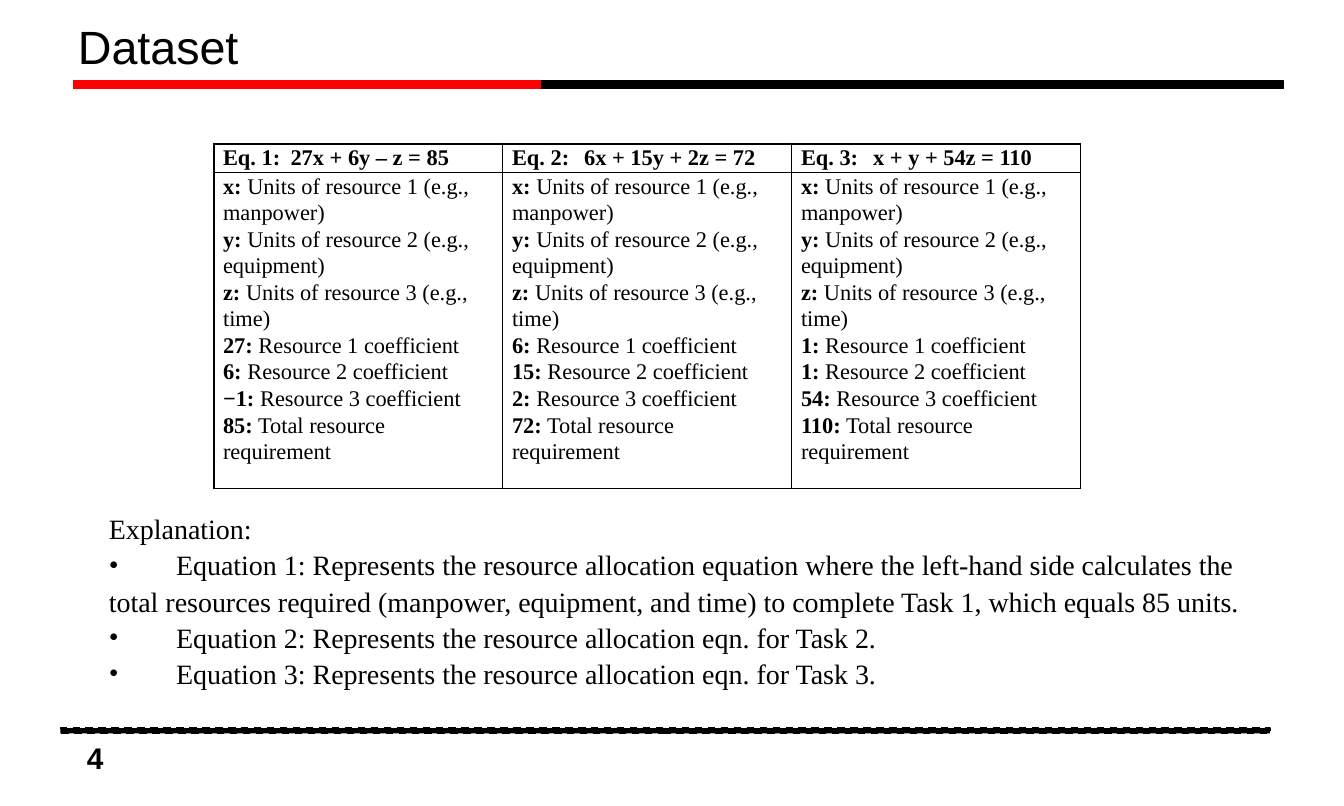
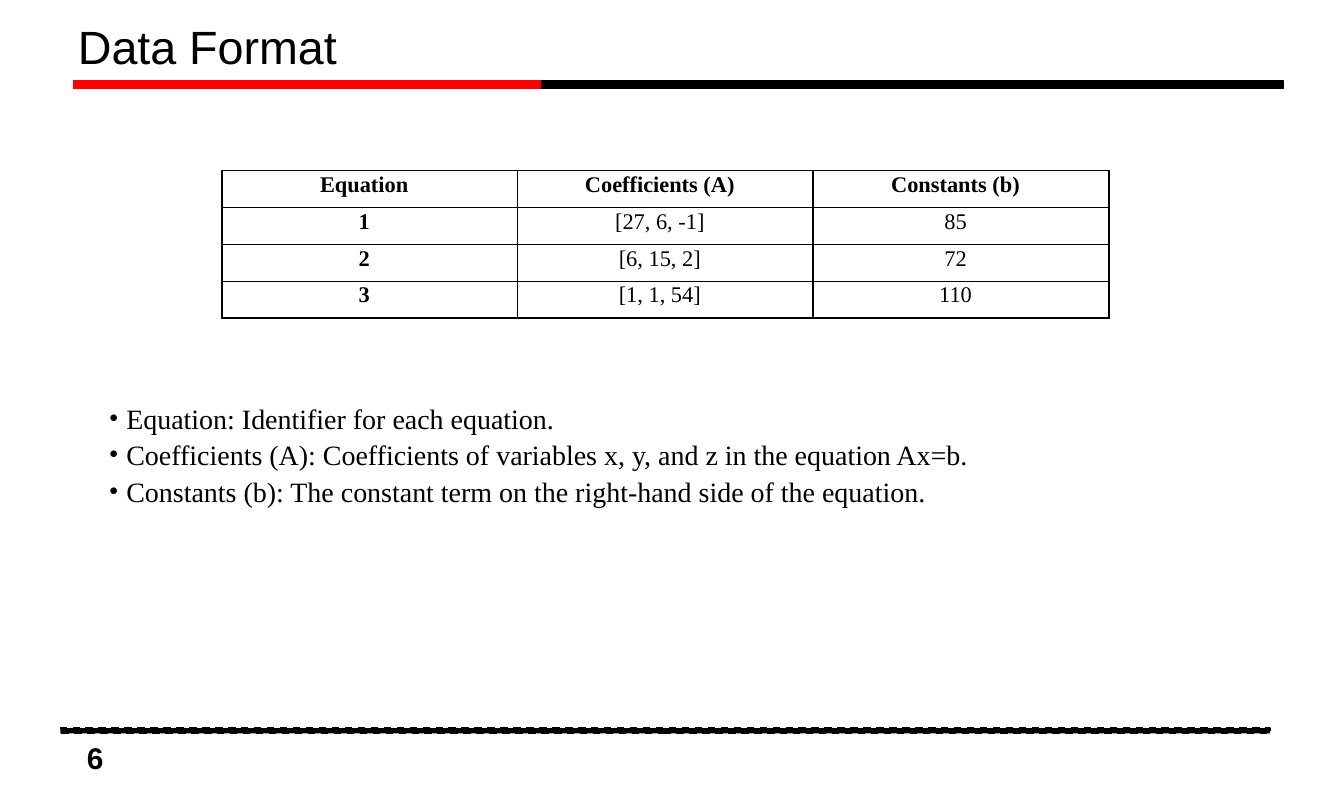
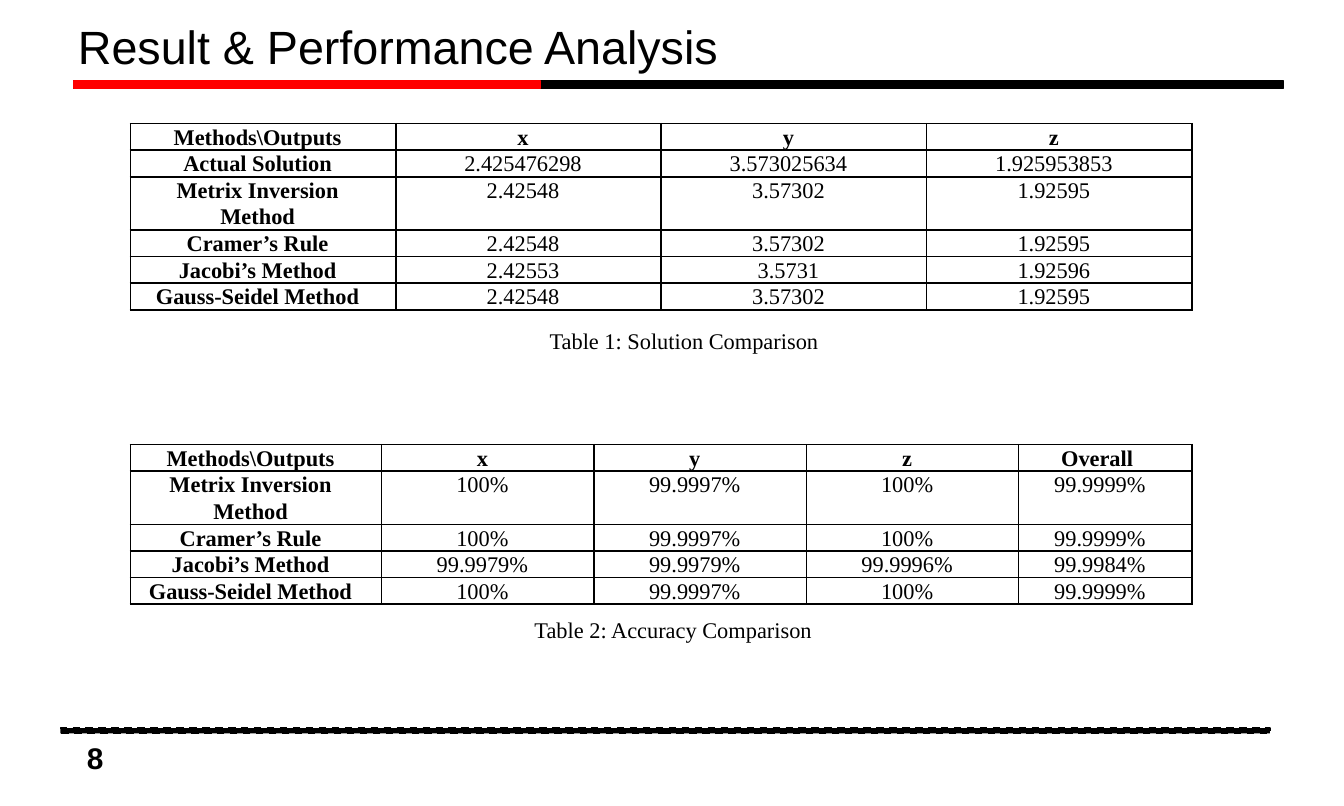
from dataclasses import dataclass
from typing import Any

from lxml import etree
from pptx import Presentation
from pptx.dml.color import RGBColor
from pptx.enum.dml import MSO_LINE
from pptx.enum.shapes import MSO_SHAPE
from pptx.enum.text import MSO_ANCHOR, MSO_AUTO_SIZE, PP_ALIGN
from pptx.oxml.ns import qn
from pptx.util import Emu, Inches, Pt

RECT, OVAL = MSO_SHAPE.RECTANGLE, MSO_SHAPE.OVAL
LEFT, MID, RIGHT = PP_ALIGN.LEFT, PP_ALIGN.CENTER, PP_ALIGN.RIGHT
CENTRE, TOP = MSO_ANCHOR.MIDDLE, MSO_ANCHOR.TOP
GROW, FIXED = MSO_AUTO_SIZE.SHAPE_TO_FIT_TEXT, MSO_AUTO_SIZE.NONE
DASH = MSO_LINE.DASH

WIDE, HIGH = 10, 6
BLACK, RED = "000000", "FF0000"
SANS, SERIF, SPACE = "Arial", "Times New Roman", "Calibri"
LIST, BARE = 1, 5  # layouts: title with body, title only
TIGHT = 0.19  # row height that grows to fit its text

HEAD = {"name": SANS, "size": Pt(25), "bold": False}
PAGE = {"name": SANS, "size": Pt(16), "bold": True}
BODY = {"name": SERIF, "size": Pt(15), "bold": False}
CELL = {"name": SERIF, "size": Pt(12), "bold": False}
BOLD = CELL | {"bold": True}
GAP = BOLD | {"name": SPACE, "size": Pt(11)}

Box = tuple[float, float, float, float]
Run = tuple[str, dict[str, Any]]
Para = list[Run]
Cell = list[Para]


@dataclass
class Bar:
    box: Box
    tint: str
    dash: bool = False


@dataclass
class Grid:
    left: float
    top: float
    cols: list[float]
    rows: list[list[Cell]]
    high: float = TIGHT
    align: Any = MID
    ruled: bool = True
    pad: float = 0.07


@dataclass
class Item:
    text: str
    mark: bool = True
    hang: float = 0


@dataclass
class Page:
    num: str
    title: str
    grids: list[Grid]
    items: list[Item]
    top: float = 0
    high: float = 0


BARS = [
    Bar((0.55, 0.6, 9, 0.06), BLACK),
    Bar((0.55, 0.6, 3.47, 0.06), RED),
    Bar((0.45, 5.42, 9, 0.04), BLACK, dash=True),
]


def tone(code: str) -> RGBColor:
    return RGBColor.from_string(code)


def apply(obj: Any, form: dict[str, Any]) -> None:
    for name, value in form.items():
        setattr(obj, name, value)


def place(shape: Any, box: Box) -> None:
    names = ("left", "top", "width", "height")
    apply(shape, dict(zip(names, map(Inches, box))))


def write(para: Any, runs: Para, align: Any, space: float) -> None:
    apply(para, {"alignment": align, "line_spacing": space,
                 "space_before": Pt(0), "space_after": Pt(0)})
    for text, form in runs:
        run = para.add_run()
        run.text = text
        apply(run.font, form)
        run.font.color.rgb = tone(BLACK)


def fill_text(frame: Any, paras: Cell, align: Any, space: float) -> list[Any]:
    for i, runs in enumerate(paras):
        para = frame.add_paragraph() if i else frame.paragraphs[0]
        write(para, runs, align, space)
    return list(frame.paragraphs)


def draw_bar(slide: Any, bar: Bar) -> None:
    shape = slide.shapes.add_shape(RECT, *map(Inches, bar.box))
    shape.shadow.inherit = False
    shape.fill.solid()
    shape.fill.fore_color.rgb = shape.line.color.rgb = tone(bar.tint)
    shape.line.width = Pt(1)
    if bar.dash:
        shape.line.dash_style = DASH


def draw_num(slide: Any, num: str) -> None:
    oval = slide.shapes.add_shape(OVAL, *map(Inches, (0.28, 5.44, 0.69, 0.4)))
    oval.shadow.inherit = False
    oval.fill.background()
    oval.line.fill.background()
    oval.text_frame.vertical_anchor = CENTRE
    fill_text(oval.text_frame, [[(num, PAGE)]], RIGHT, 1)


def draw_title(slide: Any, text: str) -> None:
    title = slide.shapes.title
    place(title, (0.48, -0.17, 9.83, 1.08))
    apply(title.text_frame, {"vertical_anchor": CENTRE, "auto_size": FIXED})
    fill_text(title.text_frame, [[(text, HEAD)]], LEFT, 0.9)


def set_mark(para: Any, item: Item) -> None:
    """Give a paragraph its bullet and hanging indent."""
    props = para._p.get_or_add_pPr()
    hang = Inches(item.hang)
    props.set("marL", str(hang))
    props.set("indent", str(-hang))
    if item.mark:
        etree.SubElement(props, qn("a:buFont"), typeface=SERIF)
        etree.SubElement(props, qn("a:buChar"), char="•")
    else:
        etree.SubElement(props, qn("a:buNone"))


def draw_list(slide: Any, page: Page) -> None:
    body = slide.placeholders[1]
    place(body, (0.71, page.top, 8.7, page.high))
    apply(body.text_frame, {"vertical_anchor": TOP, "auto_size": GROW,
                            "word_wrap": True})
    paras = fill_text(body.text_frame,
                      [[(item.text, BODY)] for item in page.items], LEFT, 1.08)
    for para, item in zip(paras, page.items):
        set_mark(para, item)


def rule(cell: Any, ruled: bool) -> None:
    """Set the four borders of a cell."""
    props = cell._tc.get_or_add_tcPr()
    for side in ("lnL", "lnR", "lnT", "lnB"):
        line = etree.SubElement(props, qn(f"a:{side}"), w=str(Pt(1)))
        if ruled:
            fill = etree.SubElement(line, qn("a:solidFill"))
            etree.SubElement(fill, qn("a:srgbClr"), val=BLACK)
        else:
            etree.SubElement(line, qn("a:noFill"))


def draw_grid(slide: Any, grid: Grid) -> None:
    count = len(grid.rows)
    size = (grid.left, grid.top, sum(grid.cols), grid.high * count)
    table = slide.shapes.add_table(
        count, len(grid.cols), *map(Inches, size)).table
    apply(table, {"first_row": False, "horz_banding": False})
    for col, wide in zip(table.columns, grid.cols):
        col.width = Inches(wide)
    for r, row in enumerate(grid.rows):
        table.rows[r].height = Inches(grid.high)
        for c, paras in enumerate(row):
            cell = table.cell(r, c)
            rule(cell, grid.ruled)
            cell.fill.background()
            apply(cell, {"margin_left": Inches(grid.pad),
                         "margin_right": Inches(grid.pad + 0.08),
                         "margin_top": Emu(0), "margin_bottom": Emu(0),
                         "vertical_anchor": TOP})
            fill_text(cell.text_frame, paras, grid.align, 1.07)


def cells(rows: list[list[str]]) -> list[list[Cell]]:
    """Make the first row and the first column bold."""
    return [[[[(text, CELL if r and c else BOLD)]]
             for c, text in enumerate(row)] for r, row in enumerate(rows)]


def equation(label: str, gap: str, text: str) -> Cell:
    return [[(label, BOLD), (gap, GAP), (text, BOLD)]]


def legend(factors: list[str]) -> Cell:
    """Explain the variables, coefficients and total of one equation."""
    goods = ("manpower", "equipment", "time")
    pairs = [(name, f"Units of resource {i} (e.g., {good})")
             for i, (name, good) in enumerate(zip("xyz", goods), 1)]
    notes = [f"Resource {i} coefficient" for i in range(1, 4)]
    pairs += zip(factors, notes + ["Total resource requirement"])
    return [[(f"{name}:", BOLD), (f" {note}", CELL)] for name, note in pairs]


def caption(left: float, top: float, text: str) -> Grid:
    return Grid(left, top, [8.62], [[[[(text, CELL)]]]],
                ruled=False, pad=0.12)


CORNER = "Methods\\Outputs"
FACTS = Grid(1.59, 1.07, [2.15] * 3, [
    [equation("Eq. 1: ", " ", "27x + 6y – z = 85"),
     equation("Eq. 2: ", "  ", "6x + 15y + 2z = 72"),
     equation("Eq. 3: ", "  ", "x + y + 54z = 110")],
    [legend(["27", "6", "−1", "85"]),
     legend(["6", "15", "2", "72"]),
     legend(["1", "1", "54", "110"])],
], align=LEFT)
FORMAT = Grid(1.65, 1.27, [2.2] * 3, cells([
    ["Equation", "Coefficients (A)", "Constants (b)"],
    ["1", "[27, 6, -1]", "85"],
    ["2", "[6, 15, 2]", "72"],
    ["3", "[1, 1, 54]", "110"],
]), high=1.1 / 4)
RESULT = Grid(0.97, 0.92, [7.9 / 4] * 4, cells([
    [CORNER, "x", "y", "z"],
    ["Actual Solution", "2.425476298", "3.573025634", "1.925953853"],
    ["Metrix Inversion Method", "2.42548", "3.57302", "1.92595"],
    ["Cramer’s Rule", "2.42548", "3.57302", "1.92595"],
    ["Jacobi’s Method", "2.42553", "3.5731", "1.92596"],
    ["Gauss-Seidel Method", "2.42548", "3.57302", "1.92595"],
]))
SCORE = Grid(0.97, 3.31, [1.87, 1.58, 1.58, 1.58, 1.29], cells([
    [CORNER, "x", "y", "z", "Overall "],
    ["Metrix Inversion Method", "100%", "99.9997%", "100%", "99.9999%"],
    ["Cramer’s Rule", "100%", "99.9997%", "100%", "99.9999%"],
    ["Jacobi’s Method", "99.9979%", "99.9979%", "99.9996%", "99.9984%"],
    ["Gauss-Seidel Method", "100%", "99.9997%", "100%", "99.9999%"],
]))

PAGES = [
    Page("4", "Dataset", [FACTS], [
        Item("Explanation:", mark=False),
        Item("\tEquation 1: Represents the resource allocation equation where "
             "the left-hand side calculates the total resources required "
             "(manpower, equipment, and time) to complete Task 1, which "
             "equals 85 units."),
        Item("\tEquation 2: Represents the resource allocation eqn. "
             "for Task 2."),
        Item("\tEquation 3: Represents the resource allocation eqn. "
             "for Task 3."),
    ], top=3.74, high=1.36),
    Page("6", "Data Format", [FORMAT], [
        Item("Equation: Identifier for each equation.", hang=0.13),
        Item("Coefficients (A): Coefficients of variables x, y, and z in the "
             "equation Ax=b.", hang=0.13),
        Item("Constants (b): The constant term on the right-hand side of the "
             "equation.", hang=0.13),
    ], top=2.92, high=0.86),
    Page("8", "Result & Performance Analysis", [
        RESULT, caption(0.82, 2.44, "Table 1: Solution Comparison"),
        SCORE, caption(0.74, 4.59, "Table 2: Accuracy Comparison"),
    ], []),
]


def build(deck: Any, page: Page) -> None:
    layout = deck.slide_layouts[LIST if page.items else BARE]
    slide = deck.slides.add_slide(layout)
    draw_title(slide, page.title)
    for bar in BARS:
        draw_bar(slide, bar)
    draw_num(slide, page.num)
    for grid in page.grids:
        draw_grid(slide, grid)
    if page.items:
        draw_list(slide, page)


def main() -> None:
    deck = Presentation()
    apply(deck, {"slide_width": Inches(WIDE), "slide_height": Inches(HIGH)})
    for page in PAGES:
        build(deck, page)
    deck.save("out.pptx")


if __name__ == "__main__":
    main()
